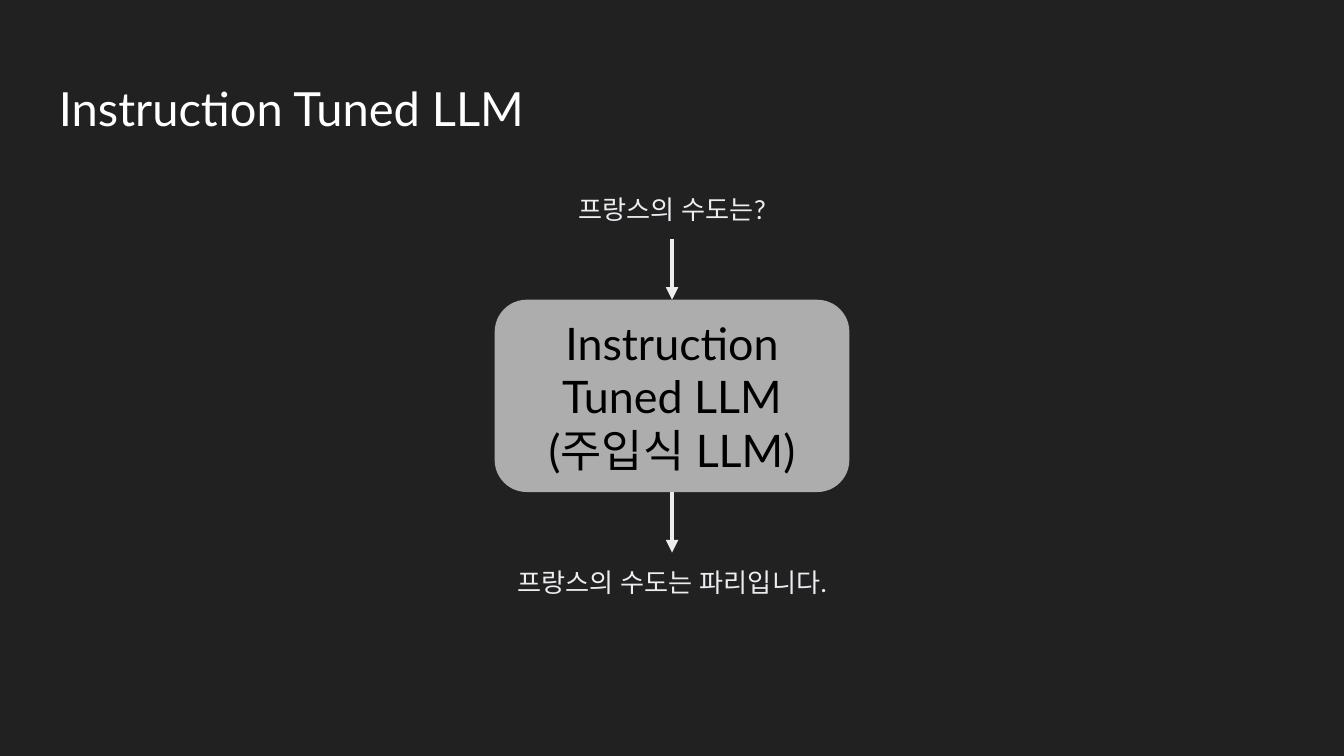
from dataclasses import dataclass

from lxml.etree import SubElement
from pptx import Presentation
from pptx.dml.color import RGBColor
from pptx.enum.shapes import MSO_CONNECTOR as Conn, MSO_SHAPE as Shape
from pptx.enum.text import MSO_ANCHOR as Anchor, MSO_AUTO_SIZE as Auto, PP_ALIGN as Align
from pptx.oxml.ns import qn
from pptx.util import Pt


@dataclass(frozen=True)
class Theme:
    background: str = "212121"
    title: str = "FFFFFF"
    box: str = "ADADAD"
    box_text: str = "000000"
    light: str = "ECECF1"
    font: str = "Lato"
    title_size: float = 25.2
    box_size: float = 24
    label_size: float = 14
    line_width: float = 2.25
    inset: float = 7.2


def rgb(value):
    return RGBColor.from_string(value)


def write(tf, *lines, size, color, font, inset, align=Align.LEFT, anchor=Anchor.TOP):
    """Fill a text frame with one paragraph per line."""
    tf.word_wrap = True
    tf.vertical_anchor = anchor
    tf.margin_left = tf.margin_right = tf.margin_top = tf.margin_bottom = Pt(inset)
    for i, line in enumerate(lines):
        p = tf.add_paragraph() if i else tf.paragraphs[0]
        p.alignment = align
        r = p.add_run()
        r.text = line
        r.font.size = Pt(size)
        r.font.color.rgb = rgb(color)
        r.font.name = font
        # Korean glyphs use the same font setting
        SubElement(r.font._element, qn("a:ea"), typeface=font)


class Deck:
    def __init__(self, theme, width, height):
        self.theme = theme
        self.prs = Presentation()
        self.prs.slide_width, self.prs.slide_height = Pt(width), Pt(height)
        self.s = None

    def slide(self):
        self.s = self.prs.slides.add_slide(self.prs.slide_layouts[6])
        fill = self.s.background.fill
        fill.solid()
        fill.fore_color.rgb = rgb(self.theme.background)

    def text(self, sp, *lines, **fmt):
        write(sp.text_frame, *lines, font=self.theme.font, inset=self.theme.inset, **fmt)

    def title(self, text, *at):
        sp = self.s.shapes.add_textbox(*map(Pt, at))
        self.text(sp, text, size=self.theme.title_size, color=self.theme.title)

    def label(self, text, *at):
        sp = self.s.shapes.add_textbox(*map(Pt, at))
        self.text(sp, text, size=self.theme.label_size, color=self.theme.light,
                  align=Align.CENTER)
        sp.text_frame.auto_size = Auto.SHAPE_TO_FIT_TEXT
        return sp

    def box(self, lines, *at):
        sp = self.s.shapes.add_shape(Shape.ROUNDED_RECTANGLE, *map(Pt, at))
        sp.shadow.inherit = False
        sp.fill.solid()
        sp.fill.fore_color.rgb = rgb(self.theme.box)
        sp.line.fill.background()
        self.text(sp, *lines, size=self.theme.box_size, color=self.theme.box_text,
                  align=Align.CENTER, anchor=Anchor.MIDDLE)
        return sp

    def arrow_down(self, upper, lower):
        """Join the bottom of one shape to the top of the next."""
        c = self.s.shapes.add_connector(Conn.STRAIGHT, 0, 0, 0, 0)
        c.begin_connect(upper, 2)
        c.end_connect(lower, 0)
        c.line.color.rgb = rgb(self.theme.light)
        c.line.width = Pt(self.theme.line_width)
        SubElement(c.line._get_or_add_ln(), qn("a:tailEnd"), type="triangle")
        SubElement(c._element.spPr, qn("a:effectLst"))


def main():
    width, height = 720, 405
    deck = Deck(Theme(), width, height)
    deck.slide()
    deck.title("Instruction Tuned LLM", 24.5, 35.4, 671, 45)

    # Centred column: question, model, answer
    label_w, label_h = 223.2, 31.7
    box_w, box_h = 190, 103
    top, gap = 96.5, 32.4
    box_top = top + label_h + gap
    answer_top = box_top + box_h + gap
    label_x = (width - label_w) / 2

    question = deck.label("프랑스의 수도는?", label_x, top, label_w, label_h)
    model = deck.box(["Instruction Tuned LLM", "(주입식 LLM)"],
                     (width - box_w) / 2, box_top, box_w, box_h)
    answer = deck.label("프랑스의 수도는 파리입니다.", label_x, answer_top, label_w, label_h)

    # Flow arrows
    deck.arrow_down(question, model)
    deck.arrow_down(model, answer)

    deck.prs.save("out.pptx")


if __name__ == "__main__":
    main()
